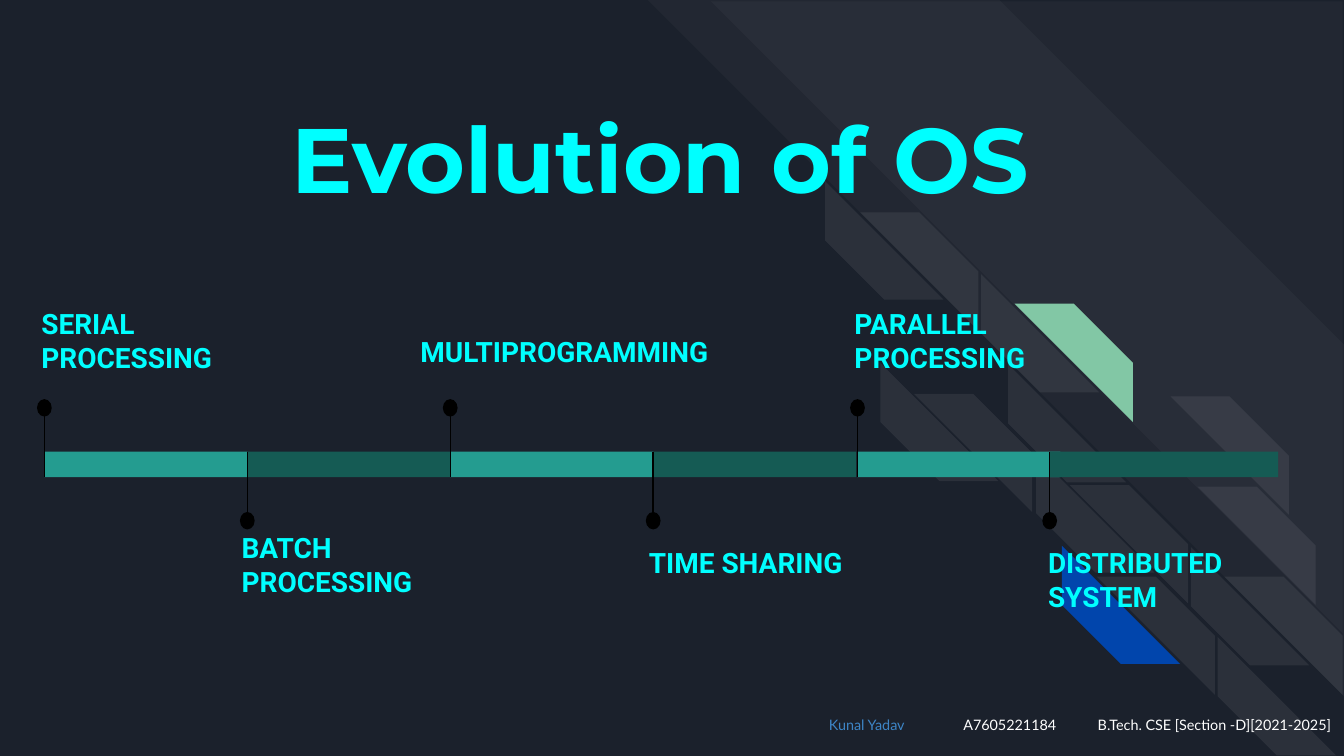
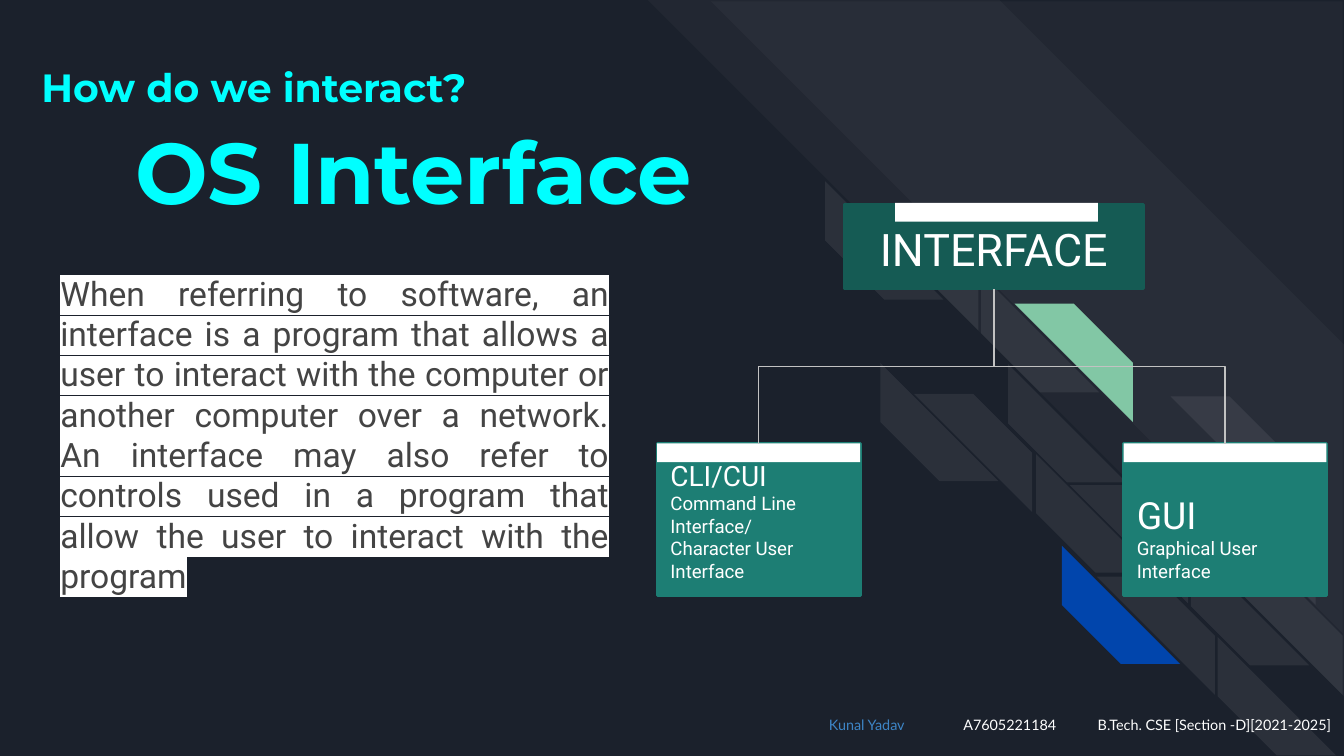
from lxml import etree
from pptx import Presentation
from pptx.dml.color import RGBColor
from pptx.enum.shapes import MSO_CONNECTOR, MSO_SHAPE
from pptx.enum.text import MSO_ANCHOR, PP_ALIGN
from pptx.oxml.ns import qn
from pptx.util import Inches, Pt

RECT, OVAL, STRIPE = MSO_SHAPE.RECTANGLE, MSO_SHAPE.OVAL, MSO_SHAPE.DIAGONAL_STRIPE
LINE, ELBOW = MSO_CONNECTOR.STRAIGHT, MSO_CONNECTOR.ELBOW
TOP, MID, LOW = MSO_ANCHOR.TOP, MSO_ANCHOR.MIDDLE, MSO_ANCHOR.BOTTOM
LEFT, MIDDLE, RIGHT, FULL = (PP_ALIGN.LEFT, PP_ALIGN.CENTER,
                             PP_ALIGN.RIGHT, PP_ALIGN.JUSTIFY)


class Theme:
    back, white, black = "1B212C", "FFFFFF", "000000"
    cyan, teal, deep, card = "00FFFF", "249C90", "155B54", "1D7E74"
    green, blue, link = "82C7A5", "0145AC", "3D85C6"
    grey, wire = "444444", "C2C2C2"
    head, body, foot = "Montserrat", "Roboto", "Lato"
    title, topic, ask, gap = 49, 46.1, 21.1, 44.1
    label, para, root, big, small, note = 15, 18, 24, 20, 10, 7.7


deck = Presentation()
deck.slide_width, deck.slide_height = Inches(10), Inches(5.625)
CELL = deck.slide_width / 100  # the slide is 100 columns wide, 56.25 rows high


def add(page, kind, at, color=None, alpha=None):
    """Place a flat shape, or a text box when kind is None, by grid cells."""
    at = [round(v * CELL) for v in at]
    if kind is None:
        return page.shapes.add_textbox(*at)
    item = page.shapes.add_shape(kind, *at)
    item.shadow.inherit = False
    item.fill.solid()
    item.fill.fore_color.rgb = RGBColor.from_string(color)
    item.line.fill.background()
    if alpha:
        tint = item._element.spPr.find(".//" + qn("a:srgbClr"))
        etree.SubElement(tint, qn("a:alpha")).set("val", str(alpha * 1000))
    return item


def write(item, paras, anchor=TOP, after=0, space=None):
    """Fill item with (align, runs); a run is (text, size, font, color, bold)."""
    frame = item.text_frame
    frame.word_wrap = True
    frame.vertical_anchor = anchor
    frame.margin_left = frame.margin_right = round(CELL)
    frame.margin_top = frame.margin_bottom = round(CELL)
    for i, (align, runs) in enumerate(paras):
        para = frame.add_paragraph() if i else frame.paragraphs[0]
        para.alignment = align
        para.space_after = Pt(after)
        if space:
            para.line_spacing = space
        for text, size, font, color, bold in runs:
            run = para.add_run()
            run.text = text
            run.font.size = Pt(size)
            run.font.name = font
            run.font.bold = bold
            run.font.color.rgb = RGBColor.from_string(color)


# Shared ground: wide bands, bricks and footer
bands = [(48.2, 0, 51.8, 0.495), (52.9, 0.1, 47, 0)]
bricks = [  # x, y, turned, solid colour
    (61.4, 13.5, True, None), (64, 15.8, False, None),
    (65.5, 27, True, None), (68, 29.3, False, None),
    (73, 20.4, True, None), (75.5, 22.6, False, Theme.green),
    (75, 27.1, True, None), (87.1, 29.5, False, None),
    (89.1, 36.2, False, None), (77.1, 33.8, True, None),
    (79.6, 36.1, False, None), (79, 40.6, True, Theme.blue),
    (81.6, 42.9, False, None), (88.6, 40.7, True, None),
    (91.1, 42.9, False, None), (90.6, 47.4, True, None),
]
pages = []
for _ in range(2):
    page = deck.slides.add_slide(deck.slide_layouts[6])
    pages.append(page)
    page.background.fill.solid()
    page.background.fill.fore_color.rgb = RGBColor.from_string(Theme.back)
    for x, y, side, cut in bands:
        band = add(page, STRIPE, (x, y, side, side), Theme.white, 3)
        band.adjustments[0] = cut
        band.rotation = 90
    for x, y, turned, color in bricks:
        brick = add(page, STRIPE, (x, y, 8.8, 8.8), color or Theme.white,
                    None if color else 7)
        brick.adjustments[0] = 0.5
        if turned:
            brick.rotation = 270
        else:
            brick._element.spPr.xfrm.set("flipH", "1")
    write(add(page, None, (54.7, 52.8, 45.3, 3.3)), [(RIGHT, [
        ("Kunal Yadav\t", Theme.note, Theme.foot, Theme.link, False),
        ("A7605221184\tB.Tech. CSE [Section -D][2021-2025]",
         Theme.note, Theme.foot, Theme.white, False)])], after=12, space=0.95)
first, second = pages

# Slide 1: timeline
write(add(first, None, (12.1, 3.6, 65.4, 16.1)), [(RIGHT, [
    ("Evolution of OS", Theme.title, Theme.head, Theme.cyan, True)])], MID)
steps = [  # bar start, bar width, label, label x, y, width
    (3.3, 15.1, "SERIAL PROCESSING", 2.1, 21.8, 19.7),
    (18.4, 15.1, "BATCH PROCESSING", 17, 38.5, 19.7),
    (33.5, 15.1, "MULTIPROGRAMMING", 30.3, 23.9, 30.7),
    (48.6, 15.1, "TIME SHARING", 47.3, 39.6, 19.7),
    (63.8, 15.1, "PARALLEL PROCESSING", 62.6, 21.8, 19.7),
    (78.1, 17, "DISTRIBUTED SYSTEM", 77, 39.6, 21),
]
for i, (x, wide, text, left, top, span) in enumerate(steps):
    down = i % 2
    add(first, RECT, (x, 33.6, wide, 1.9), Theme.deep if down else Theme.teal)
    start, end = (38.7, 33.6) if down else (30.4, 35.5)
    pin = first.shapes.add_connector(
        LINE, *[round(v * CELL) for v in (x, start, x, end)])
    pin.line.color.rgb = RGBColor.from_string(Theme.black)
    pin.line.width = Pt(0.75)
    etree.SubElement(pin._element.spPr, qn("a:effectLst"))
    add(first, OVAL, (x - 0.55, 38.1 if down else 29.7, 1.1, 1.3), Theme.black)
    write(add(first, None, (left, top, span, 13.2)), [(LEFT, [
        (text, Theme.label, Theme.body, Theme.cyan, True)])], after=16)

# Slide 2: titles, meaning and tree
write(add(second, None, (2.1, 2.5, 50.4, 13)), [
    (LEFT, [("How do we interact?", Theme.ask, Theme.head, Theme.cyan, True),
            (" ", Theme.gap, Theme.head, Theme.cyan, True)]),
    (RIGHT, [("OS Interface", Theme.topic, Theme.head, Theme.cyan, True)])], MID)

cards = [  # place, strip place, colour, align, lines
    ((62.8, 15.2, 22.3, 6.3), (66.6, 15.1), Theme.deep, MIDDLE,
     [("INTERFACE", Theme.root)]),
    ((48.9, 33, 15.1, 11.3), (48.9, 33), Theme.card, LEFT,
     [("CLI/CUI", Theme.label), ("Command Line Interface/", Theme.small),
      ("Character User Interface", Theme.small)]),
    ((83.6, 33, 15.1, 11.3), (83.6, 33), Theme.card, LEFT,
     [("GUI", Theme.big), ("Graphical User Interface", Theme.small)]),
]
boxes = []
for at, strip, color, align, lines in cards:
    box = add(second, RECT, at, color)
    box.line.color.rgb = RGBColor.from_string(color)
    box.line.width = Pt(1.5)
    write(box, [(align, [(text, size, Theme.body, Theme.white, False)])
                for text, size in lines], LOW)
    add(second, RECT, (*strip, 15.1, 1.4), Theme.white)
    boxes.append(box)

root, cli, gui = boxes
for start, out, end, into, flip in [(root, 2, gui, 0, "1"), (cli, 0, root, 2, "0")]:
    wire = second.shapes.add_connector(ELBOW, 0, 0, 0, 0)
    wire.begin_connect(start, out)
    wire.end_connect(end, into)
    # Turn the elbow a quarter so that it leaves and arrives upright
    run, drop = wire.width, wire.height
    wire.left += (run - drop) // 2
    wire.top += (drop - run) // 2
    wire.width, wire.height = drop, run
    form = wire._element.spPr.xfrm
    form.set("rot", str(270 * 60000))
    form.set("flipH", flip)
    form.set("flipV", "0")
    wire.line.color.rgb = RGBColor.from_string(Theme.wire)
    wire.line.width = Pt(0.75)
    etree.SubElement(wire._element.spPr, qn("a:effectLst"))

about = add(second, None, (3.5, 19.3, 42.8, 26.3))
write(about, [(FULL, [(
    "When referring to software, an interface is a program that allows a user "
    "to interact with the computer or another computer over a network. An "
    "interface may also refer to controls used in a program that allow the "
    "user to interact with the program",
    Theme.para, Theme.body, Theme.grey, False)])])
ink = about._element.find(".//" + qn("a:rPr")).find(qn("a:solidFill"))
mark = etree.Element(qn("a:highlight"))
etree.SubElement(mark, qn("a:srgbClr")).set("val", Theme.white)
ink.addnext(mark)

deck.save("out.pptx")
